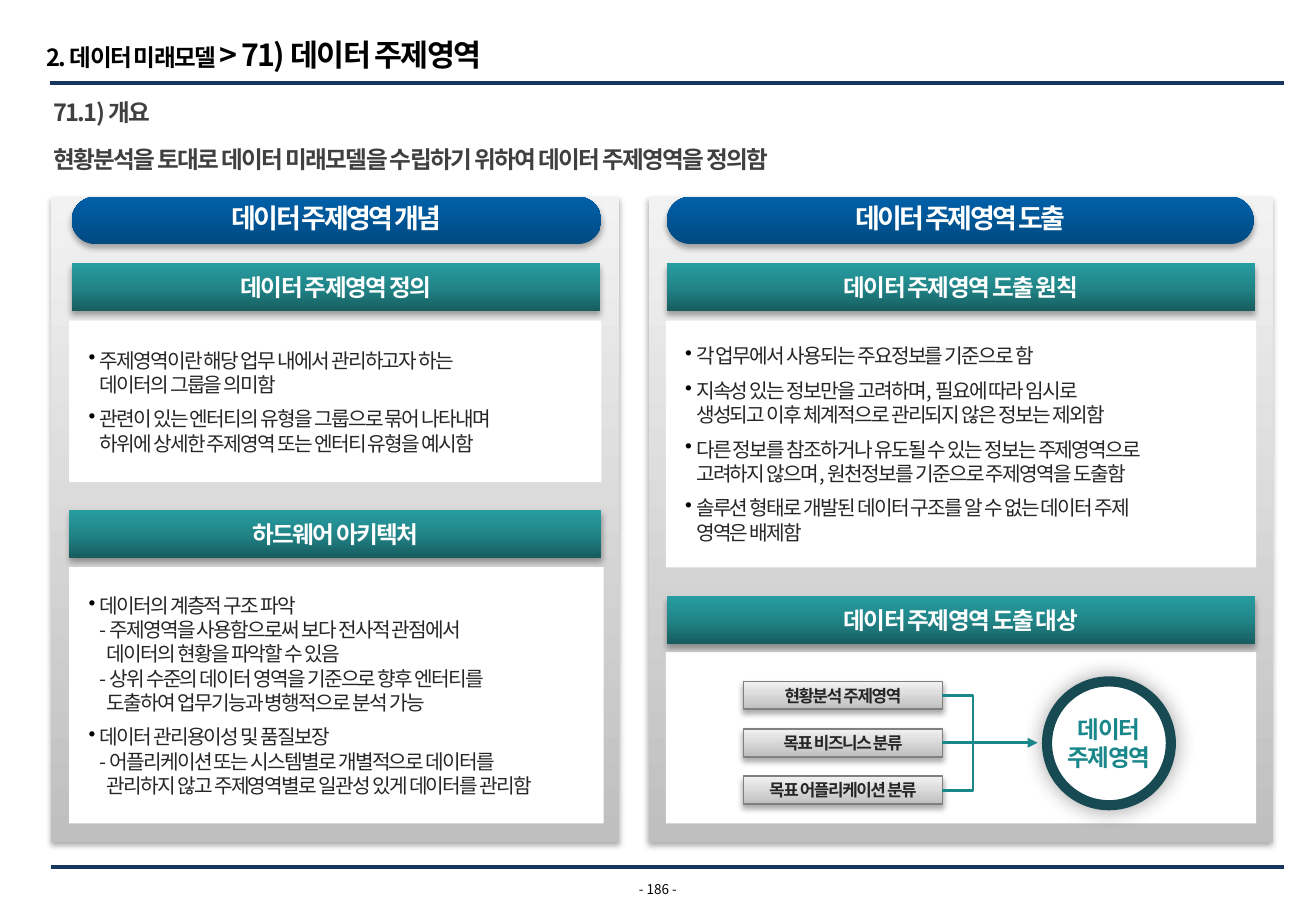
from lxml import etree
from pptx import Presentation
from pptx.dml.color import RGBColor
from pptx.enum.shapes import MSO_CONNECTOR, MSO_SHAPE
from pptx.enum.text import MSO_ANCHOR, PP_ALIGN
from pptx.oxml.ns import qn
from pptx.util import Pt

RECTANGLE, ROUNDED, OVAL = MSO_SHAPE.RECTANGLE, MSO_SHAPE.ROUNDED_RECTANGLE, MSO_SHAPE.OVAL
STRAIGHT = MSO_CONNECTOR.STRAIGHT
LEFT, CENTER = PP_ALIGN.LEFT, PP_ALIGN.CENTER
TOP, MIDDLE = MSO_ANCHOR.TOP, MSO_ANCHOR.MIDDLE
FONT = "Noto Sans CJK KR"
COLORS = {
    "navy": "17375E", "black": "000000", "heading": "404040", "body": "262626",
    "white": "FFFFFF", "teal": "1A878A", "ring": "174A52", "edge": "808080",
}
# Gradient colours run from the bottom of a shape to its top
GRAY = ["BFBFBF", "F2F2F2"]
BLUE = ["004A82", "0060A8"]
TEAL = ["175D5F", "218588", "279DA1"]
# Opacity in percent, blur and distance in points, direction in degrees
DROP_SHADOW = (32, 3.5, 2.2, 90)
GLOW_SHADOW = (36, 13, 0, 315)


def add_block(kind, bounds, fills, shadow=None):
    """Add a shape without outline; several fills make a vertical gradient."""
    shape = slide.shapes.add_shape(kind, *[Pt(value) for value in bounds])
    shape.line.fill.background()
    shape.shadow.inherit = False
    properties = shape._element.spPr
    if len(fills) == 1:
        shape.fill.solid()
        shape.fill.fore_color.rgb = RGBColor.from_string(fills[0])
    else:
        shape.fill.gradient()
        shape.fill.gradient_angle = 90
        stops = properties.find(".//" + qn("a:gsLst"))
        for stop in list(stops):
            stops.remove(stop)
        for index, color in enumerate(fills):
            position = str(100000 * index // (len(fills) - 1))
            stop = etree.SubElement(stops, qn("a:gs"), pos=position)
            etree.SubElement(stop, qn("a:srgbClr"), val=color)
    if shadow:
        opacity, blur, distance, direction = shadow
        outer = etree.SubElement(
            properties.find(qn("a:effectLst")), qn("a:outerShdw"),
            blurRad=str(Pt(blur)), dist=str(Pt(distance)),
            dir=str(direction * 60000), algn="ctr", rotWithShape="0")
        color = etree.SubElement(outer, qn("a:srgbClr"), val=COLORS["black"])
        etree.SubElement(color, qn("a:alpha"), val=str(opacity * 1000))
    return shape


def format_text(shape, size, color, bold=True, spacing=-1, align=CENTER,
                anchor=MIDDLE, insets=(0, 0), wrap=True):
    """Format all text; insets are left and top, spacing is between letters."""
    frame = shape.text_frame
    frame.word_wrap = wrap
    frame.vertical_anchor = anchor
    frame.margin_left, frame.margin_top = Pt(insets[0]), Pt(insets[1])
    frame.margin_right = frame.margin_bottom = 0
    for para in frame.paragraphs:
        para.alignment = align
        for span in para.runs:
            span.font.size = Pt(size)
            span.font.bold = bold
            span.font.name = FONT
            span.font.color.rgb = RGBColor.from_string(COLORS[color])
            run_properties = span.font._element
            run_properties.set("spc", str(int(spacing * 100)))
            east_asian = etree.Element(qn("a:ea"), typeface=FONT)
            run_properties.find(qn("a:latin")).addnext(east_asian)


deck = Presentation()
deck.slide_width, deck.slide_height = Pt(780), Pt(540)
slide = deck.slides.add_slide(deck.slide_layouts.get_by_name("Title Only"))

# Title, headings and page number
title = slide.shapes.title
title.left, title.top, title.width, title.height = Pt(13), Pt(10), Pt(513), Pt(33)
title_para = title.text_frame.paragraphs[0]
for words in ("2. 데이터 미래모델 ", "> 71) 데이터 주제영역"):
    title_para.add_run().text = words
format_text(title, 18, "black", align=LEFT, anchor=TOP, insets=(14.4, 11.5))
title_para.runs[0].font.size = Pt(14)

for top, words in (
    (54.7, "71.1) 개요"),
    (82.1, "현황분석을 토대로 데이터 미래모델을 수립하기 위하여 데이터 주제영역을 정의함"),
):
    box = slide.shapes.add_textbox(Pt(24.5), Pt(top), Pt(749), Pt(24.5))
    box.text_frame.text = words
    format_text(box, 14, "heading", align=LEFT, anchor=TOP, insets=(7.2, 3.6))

page_number = slide.shapes.add_textbox(Pt(366), Pt(522), Pt(48), Pt(9.5))
page_number.text_frame.text = "- 186 -"
format_text(page_number, 8, "black", bold=False, spacing=0)

# Panels with their pill headers
for left, width, pill_left, pill_width, words in (
    (30.2, 337, 42.5, 314, "데이터 주제영역 개념"),
    (384.5, 370, 395.3, 347.8, "데이터 주제영역 도출"),
):
    add_block(RECTANGLE, (left, 116.6, width, 382.3), GRAY, DROP_SHADOW)
    pill = add_block(ROUNDED, (pill_left, 116.6, pill_width, 28.1), BLUE, DROP_SHADOW)
    pill.adjustments[0] = 0.5
    pill.text_frame.text = words
    pill.text_frame.paragraphs[0].line_spacing = 0.8
    format_text(pill, 16, "white", spacing=-1.5)

# Sections: band bounds, band text, card bounds, card lines
sections = [
    ((42.5, 156.2, 313.2), "데이터 주제영역 정의", (41, 190.1, 315.4, 95.8), [
        "주제영역이란 해당 업무 내에서 관리하고자 하는\v데이터의 그룹을 의미함",
        "관련이 있는 엔터티의 유형을 그룹으로 묶어 나타내며\v하위에 상세한 주제영역 또는 엔터티 유형을 예시함",
    ]),
    ((41, 302.4, 315.4), "하드웨어 아키텍처", (41, 336.2, 316.8, 152), [
        "데이터의 계층적 구조 파악",
        "- 주제영역을 사용함으로써 보다 전사적 관점에서\v데이터의 현황을 파악할 수 있음",
        "- 상위 수준의 데이터 영역을 기준으로 향후 엔터티를\v도출하여 업무기능과 병행적으로 분석 가능",
        "데이터 관리용이성 및 품질보장",
        "- 어플리케이션 또는 시스템별로 개별적으로 데이터를\v관리하지 않고 주제영역별로 일관성 있게 데이터를 관리함",
    ]),
    ((395.3, 156.2, 348.5), "데이터 주제영역 도출 원칙", (394.6, 190.1, 350, 146.2), [
        "각 업무에서 사용되는 주요정보를 기준으로 함",
        "지속성 있는 정보만을 고려하며, 필요에 따라 임시로\v생성되고 이후 체계적으로 관리되지 않은 정보는 제외함",
        "다른 정보를 참조하거나 유도될 수 있는 정보는 주제영역으로\v고려하지 않으며, 원천정보를 기준으로 주제영역을 도출함",
        "솔루션 형태로 개발된 데이터 구조를 알 수 없는 데이터 주제\v영역은 배제함",
    ]),
    ((395.3, 353.5, 348.5), "데이터 주제영역 도출 대상", (394.6, 386.6, 350, 101.5), []),
]
for band_bounds, band_words, card_bounds, lines in sections:
    card = add_block(RECTANGLE, card_bounds, [COLORS["white"]])
    if lines:
        card.text_frame.text = "\n".join(lines)
        following = lines[1:] + [""]
        for para, line, next_line in zip(card.text_frame.paragraphs, lines, following):
            is_detail = line.startswith("- ")
            margin, hanging = (10.8, 4.3) if is_detail else (6.5, 6.5)
            para_properties = para._p.get_or_add_pPr()
            para_properties.set("marL", str(Pt(margin)))
            para_properties.set("indent", str(-Pt(hanging)))
            if not is_detail:
                bullet_color = etree.SubElement(para_properties, qn("a:buClr"))
                etree.SubElement(bullet_color, qn("a:srgbClr"), val=COLORS["black"])
                etree.SubElement(para_properties, qn("a:buChar"), char="•")
            para.space_after = Pt(0 if next_line.startswith("- ") else 6)
        format_text(card, 12, "body", bold=False, align=LEFT, insets=(11.5, 0))
    band = add_block(RECTANGLE, (*band_bounds, 28.1), TEAL, DROP_SHADOW)
    band.text_frame.text = band_words
    format_text(band, 14, "white")

# Diagram: three inputs leading to the subject area
source_left, source_top, source_width, source_height, source_step = 440.6, 403.9, 118, 16.6, 28.1
sources = []
for index, words in enumerate(("현황분석 주제영역", "목표 비즈니스 분류", "목표 어플리케이션 분류")):
    top = source_top + index * source_step
    source = add_block(RECTANGLE, (source_left, top, source_width, source_height), GRAY, DROP_SHADOW)
    source.line.color.rgb = RGBColor.from_string(COLORS["edge"])
    source.line.width = Pt(1)
    source.text_frame.text = words
    format_text(source, 10, "body", spacing=-0.8)
    sources.append(source)

ring = add_block(OVAL, (620.6, 403.9, 73.4, 73.4), [COLORS["white"]], GLOW_SHADOW)
ring.line.color.rgb = RGBColor.from_string(COLORS["ring"])
ring.line.width = Pt(6)
ring.text_frame.text = "데이터\n주제영역"
format_text(ring, 14, "teal", wrap=False)

source_right = source_left + source_width
first_middle = source_top + source_height / 2
arrow_middle = first_middle + source_step
last_middle = arrow_middle + source_step
bracket_right = source_right + 18
outline = slide.shapes.build_freeform(Pt(source_right), Pt(first_middle))
outline.add_line_segments([
    (Pt(bracket_right), Pt(first_middle)),
    (Pt(bracket_right), Pt(last_middle)),
    (Pt(source_right), Pt(last_middle)),
], close=False)
bracket = outline.convert_to_shape()
bracket.fill.background()
bracket.shadow.inherit = False
bracket.line.color.rgb = RGBColor.from_string(COLORS["teal"])
bracket.line.width = Pt(1.5)

# Straight lines: the two page rules and the arrow to the ring
connectors = []
for start, end, y, color, width in (
    (29.5, 761, 49, "navy", 2.25),
    (30.2, 761, 514.1, "navy", 2.25),
    (source_right, 615, arrow_middle, "teal", 1.5),
):
    connector = slide.shapes.add_connector(STRAIGHT, Pt(start), Pt(y), Pt(end), Pt(y))
    connector.line.color.rgb = RGBColor.from_string(COLORS[color])
    connector.line.width = Pt(width)
    etree.SubElement(connector._element.spPr, qn("a:effectLst"))
    connectors.append(connector)
arrow = connectors[-1]
arrow.begin_connect(sources[1], 3)
etree.SubElement(arrow.line._get_or_add_ln(), qn("a:tailEnd"), type="triangle")

deck.save("out.pptx")
